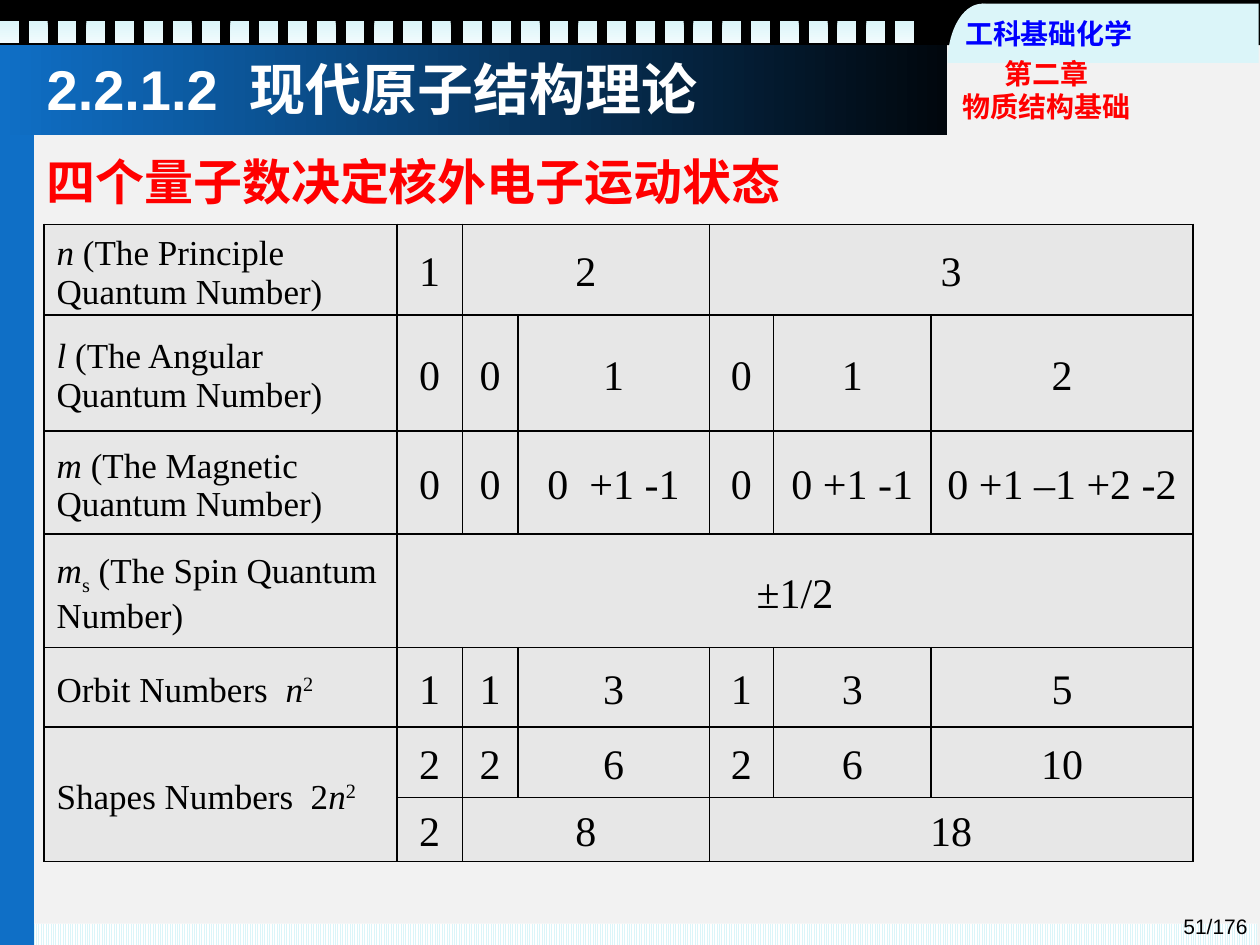
import math
from lxml import etree
from pptx import Presentation
from pptx.dml.color import RGBColor
from pptx.enum import dml, shapes, text
from pptx.oxml import ns
from pptx.util import Inches, Pt

BLACK = RGBColor(0x00, 0x00, 0x00)
WHITE = RGBColor(0xFF, 0xFF, 0xFF)
RED = RGBColor(0xFF, 0x00, 0x00)
COURSE_BLUE = RGBColor(0x00, 0x00, 0xFF)
BLUE = RGBColor(0x0F, 0x6F, 0xC6)
NIGHT = RGBColor(0x01, 0x07, 0x0D)
ICE = RGBColor(0xDB, 0xF5, 0xF9)
PALE_ICE = RGBColor(0xF1, 0xFB, 0xFD)
PAPER = RGBColor(0xF2, 0xF2, 0xF2)
CELL_GREY = RGBColor(0xE7, 0xE7, 0xE7)

LEFT, CENTER, RIGHT = text.PP_ALIGN.LEFT, text.PP_ALIGN.CENTER, text.PP_ALIGN.RIGHT
MIDDLE, BOTTOM, TOP = text.MSO_ANCHOR.MIDDLE, text.MSO_ANCHOR.BOTTOM, text.MSO_ANCHOR.TOP

prs = Presentation()
prs.slide_width, prs.slide_height = Inches(10), Inches(7.5)
slide = prs.slides.add_slide(prs.slide_layouts[5])
slide.background.fill.solid()
slide.background.fill.fore_color.rgb = PAPER


def add_block(box, *colors, angle=0):
    block = slide.shapes.add_shape(shapes.MSO_SHAPE.RECTANGLE, *map(Inches, box))
    block.shadow.inherit = False
    block.line.fill.background()
    if len(colors) == 1:
        block.fill.solid()
        block.fill.fore_color.rgb = colors[0]
    else:
        block.fill.gradient()
        block.fill.gradient_angle = angle
        for stop, color in zip(block.fill.gradient_stops, colors):
            stop.color.rgb = color
    return block


def add_run(paragraph, words, color, baseline=0, **format_values):
    run = paragraph.add_run()
    run.text = words
    for name, value in format_values.items():
        setattr(run.font, name, value)
    run.font.color.rgb = color
    if baseline:
        run.font._element.set("baseline", str(baseline * 1000))


add_block((0, 0.35, 7.5, 0.64), BLACK)
add_block((0, 0, 10, 0.36), BLACK)
for hole in range(32):
    shift = 0.02 if hole >= 16 else 0
    add_block((0.2285 * hole + shift, 0.17, 0.15, 0.17), ICE, PALE_ICE, angle=270)

footer_strip = add_block((0.23, 7.33, 9.75, 0.17), ICE)
footer_strip.fill.patterned()
footer_strip.fill.pattern = dml.MSO_PATTERN.LIGHT_VERTICAL
footer_strip.fill.fore_color.rgb = ICE
footer_strip.fill.back_color.rgb = WHITE

add_block((7.79, 0.03, 2.2, 0.47), ICE)
arc = [(Inches(7.795 - 0.275 * math.cos(math.radians(a))),
        Inches(0.5 - 0.47 * math.sin(math.radians(a)))) for a in range(0, 181, 5)]
tab_builder = slide.shapes.build_freeform(*arc[0])
tab_builder.add_line_segments(arc[1:], close=True)
tab_corner = tab_builder.convert_to_shape()
tab_corner.shadow.inherit = False
tab_corner.line.fill.background()
tab_corner.fill.solid()
tab_corner.fill.fore_color.rgb = ICE

add_block((0, 0.91, 0.27, 6.59), BLUE)
add_block((0, 0.36, 7.52, 0.71), BLUE, NIGHT)

captions = [
    ((7.68, 7.2, 2.32, 0.3), ["51/176"], 12, BLACK, False, RIGHT, BOTTOM, 0.1, True),
    ((7.62, 0.13, 1.41, 0.27), ["工科基础化学"], 16, COURSE_BLUE, True, CENTER, BOTTOM, 0, True),
    ((7.6, 0.44, 1.41, 0.54), ["第二章", "物质结构基础"], 16, RED, True, CENTER, BOTTOM, 0, True),
    ((0.27, 1.15, 6.09, 0.57), ["四个量子数决定核外电子运动状态"], 28, RED, True, LEFT, TOP, 0.1, False),
]
for box, lines, size, color, bold, align, anchor, inset, wrap in captions:
    frame = slide.shapes.add_textbox(*map(Inches, box)).text_frame
    frame.word_wrap = wrap
    frame.auto_size = text.MSO_AUTO_SIZE.SHAPE_TO_FIT_TEXT
    frame.vertical_anchor = anchor
    frame.margin_left = frame.margin_right = Inches(inset)
    frame.margin_top = frame.margin_bottom = Inches(inset / 2)
    caption = frame.paragraphs[0]
    caption.alignment = align
    for number, line in enumerate(lines):
        if number:
            caption.add_line_break()
        add_run(caption, line, color, size=Pt(size), bold=bold, name="Arial")

ITALIC = {"italic": True}
SUB, SUPER = {"baseline": -25}, {"baseline": 30}
labels = [
    [("n", ITALIC), (" (The Principle Quantum Number)", {})],
    [("l", ITALIC), (" (The Angular Quantum Number)", {})],
    [("m", ITALIC), (" (The Magnetic Quantum Number)", {})],
    [("m", ITALIC), ("s", SUB), (" (The Spin Quantum Number)", {})],
    [("Orbit Numbers  ", {}), ("n", ITALIC), ("2", SUPER)],
    [("Shapes Numbers  2", {}), ("n", ITALIC), ("2", SUPER)],
    [],
]
values = [
    ["1", "2", "", "3", "", ""],
    ["0", "0", "1", "0", "1", "2"],
    ["0", "0", "0  +1 -1", "0", "0 +1 -1", "0 +1 –1 +2 -2"],
    ["±1/2", "", "", "", "", ""],
    ["1", "1", "3", "1", "3", "5"],
    ["2", "2", "6", "2", "6", "10"],
    ["2", "8", "", "18", "", ""],
]
column_widths = [2.8, 0.52, 0.44, 1.52, 0.51, 1.25, 2.08]
row_heights = [0.72, 0.92, 0.82, 0.9, 0.63, 0.56, 0.51]
quantum = slide.shapes.add_table(7, 7, Inches(0.35), Inches(1.78), Inches(9.12), Inches(5.06)).table
quantum.first_row = quantum.horz_banding = False
for column, width in zip(quantum.columns, column_widths):
    column.width = Inches(width)
for row, height in zip(quantum.rows, row_heights):
    row.height = Inches(height)

cell_format = {"vertical_anchor": MIDDLE, "margin_left": Inches(0.1), "margin_right": Inches(0.1),
               "margin_top": Inches(0.05), "margin_bottom": 0}
for r, (label, numbers) in enumerate(zip(labels, values)):
    contents = [label] + [[(number, {})] if number else [] for number in numbers]
    for c, pieces in enumerate(contents):
        cell = quantum.cell(r, c)
        for name, value in cell_format.items():
            setattr(cell, name, value)
        properties = cell._tc.get_or_add_tcPr()
        for side in ("a:lnL", "a:lnR", "a:lnT", "a:lnB"):
            border = etree.SubElement(properties, ns.qn(side), w=str(Pt(1)))
            solid = etree.SubElement(border, ns.qn("a:solidFill"))
            etree.SubElement(solid, ns.qn("a:srgbClr"), val=str(BLACK))
        cell.fill.solid()
        cell.fill.fore_color.rgb = CELL_GREY
        entry = cell.text_frame.paragraphs[0]
        entry.alignment = CENTER if c else LEFT
        for words, extra in pieces:
            add_run(entry, words, BLACK, size=Pt(24 if c else 20), name="Times New Roman", **extra)

for top, left, bottom, right in [(0, 2, 0, 3), (0, 4, 0, 6), (3, 1, 3, 6),
                                 (5, 0, 6, 0), (6, 2, 6, 3), (6, 4, 6, 6)]:
    quantum.cell(top, left).merge(quantum.cell(bottom, right))

title = slide.shapes.title
title.left, title.top, title.width, title.height = map(Inches, (0.27, 0.33, 7.17, 0.74))
title.text_frame.auto_size = text.MSO_AUTO_SIZE.NONE
title.text_frame.vertical_anchor = MIDDLE
heading = title.text_frame.paragraphs[0]
heading.alignment = LEFT
for words, font_name in [("2.2.1.2  ", "Arial"), ("现代原子结构理论", "Cabin")]:
    add_run(heading, words, WHITE, size=Pt(32), bold=True, name=font_name)
slide.shapes._spTree.append(title._element)

prs.save("out.pptx")
